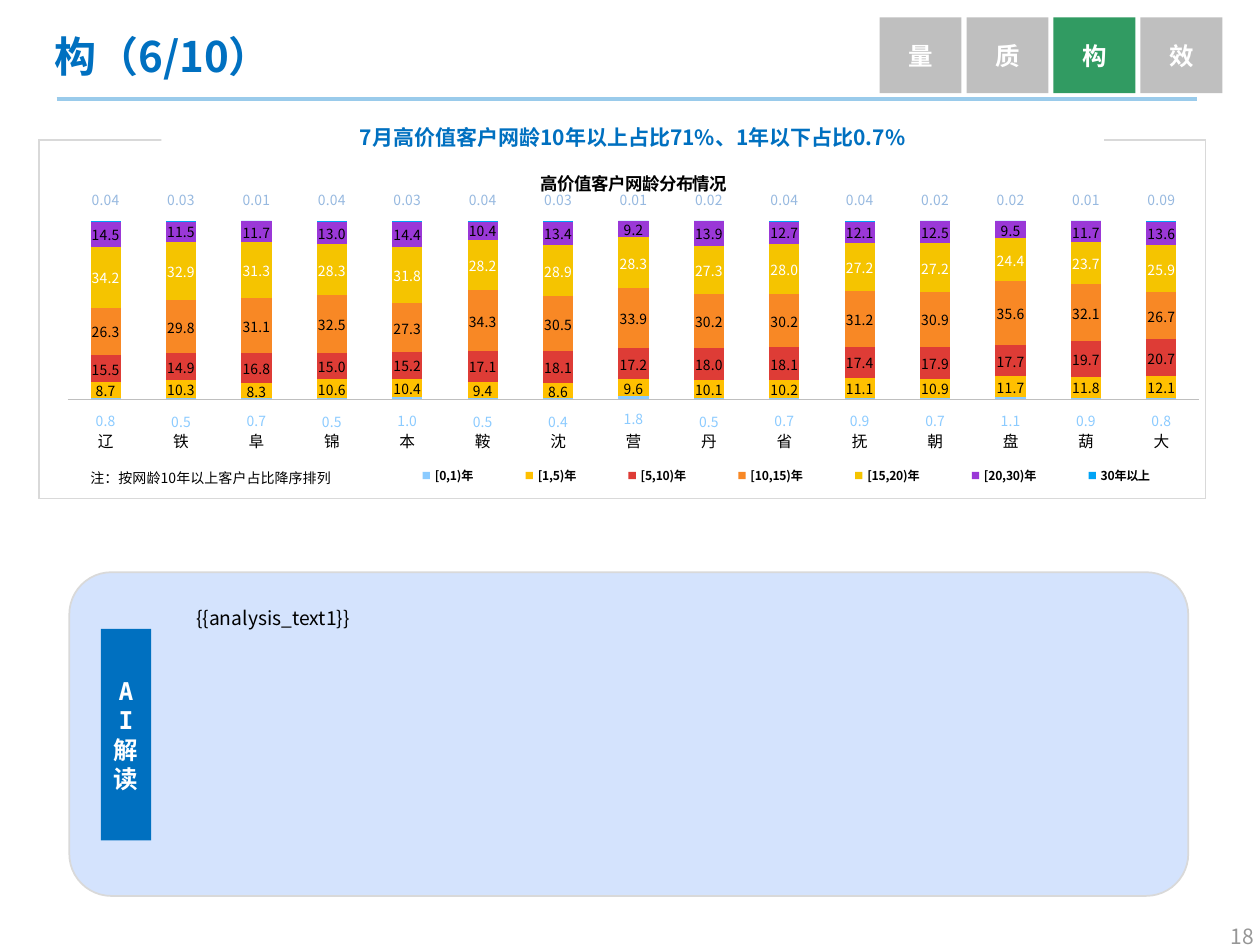
from copy import deepcopy

from lxml.etree import SubElement
from pptx import Presentation
from pptx.chart.data import CategoryChartData
from pptx.dml.color import RGBColor
from pptx.enum.chart import XL_CHART_TYPE as Kind
from pptx.enum.chart import XL_LABEL_POSITION as Spot
from pptx.enum.chart import XL_LEGEND_POSITION as Side
from pptx.enum.chart import XL_TICK_LABEL_POSITION as Ticks
from pptx.enum.chart import XL_TICK_MARK as Mark
from pptx.enum.shapes import MSO_CONNECTOR as Link
from pptx.enum.shapes import MSO_SHAPE as Form
from pptx.enum.text import MSO_ANCHOR as Anchor
from pptx.enum.text import MSO_AUTO_SIZE as Fit
from pptx.enum.text import PP_ALIGN as Align
from pptx.oxml import parse_xml
from pptx.oxml.ns import nsdecls, qn
from pptx.util import Pt

WHITE = RGBColor(0xFF, 0xFF, 0xFF)
BLACK = RGBColor(0, 0, 0)
BLUE = RGBColor(0x00, 0x70, 0xC0)
SKY = RGBColor(0x9A, 0xCB, 0xEB)
ICE = RGBColor(0xD4, 0xE3, 0xFD)
GREEN = RGBColor(0x31, 0x9B, 0x62)
GREY = RGBColor(0xBF, 0xBF, 0xBF)
PALE = RGBColor(0xD9, 0xD9, 0xD9)
DIM = RGBColor(0x96, 0x96, 0x96)
AQUA = RGBColor(0x8B, 0xCB, 0xFF)
STEEL = RGBColor(0x97, 0xB9, 0xE0)
AMBER = RGBColor(0xFF, 0xC0, 0x00)
RED = RGBColor(0xDE, 0x3C, 0x36)
ORANGE = RGBColor(0xF8, 0x88, 0x25)
GOLD = RGBColor(0xF5, 0xC4, 0x00)
PURPLE = RGBColor(0x9A, 0x38, 0xD7)
AZURE = RGBColor(0x00, 0xA3, 0xF5)

SANS = "Noto Sans CJK SC"
CITIES = list("辽铁阜锦本鞍沈营丹省抚朝盘葫大")
# name, fill, label colour, label spot, label shift, values
BANDS = [
    ("[0,1)年", AQUA, AQUA, Spot.INSIDE_END, 0.02,
     [0.8, 0.5, 0.7, 0.5, 1, 0.5, 0.4, 1.8, 0.5, 0.7, 0.9, 0.7, 1.1, 0.9, 0.8]),
    ("[1,5)年", AMBER, BLACK, Spot.CENTER, 0,
     [8.7, 10.3, 8.3, 10.6, 10.4, 9.4, 8.6, 9.6, 10.1, 10.2, 11.1, 10.9, 11.7, 11.8, 12.1]),
    ("[5,10)年", RED, BLACK, Spot.CENTER, 0,
     [15.5, 14.9, 16.8, 15, 15.2, 17.1, 18.1, 17.2, 18, 18.1, 17.4, 17.9, 17.7, 19.7, 20.7]),
    ("[10,15)年", ORANGE, BLACK, Spot.CENTER, 0,
     [26.3, 29.8, 31.1, 32.5, 27.3, 34.3, 30.5, 33.9, 30.2, 30.2, 31.2, 30.9, 35.6, 32.1, 26.7]),
    ("[15,20)年", GOLD, WHITE, Spot.CENTER, 0,
     [34.2, 32.9, 31.3, 28.3, 31.8, 28.2, 28.9, 28.3, 27.3, 28, 27.2, 27.2, 24.4, 23.7, 25.9]),
    ("[20,30)年", PURPLE, BLACK, Spot.CENTER, 0,
     [14.5, 11.5, 11.7, 13, 14.4, 10.4, 13.4, 9.2, 13.9, 12.7, 12.1, 12.5, 9.5, 11.7, 13.6]),
    ("30年以上", AZURE, STEEL, Spot.INSIDE_BASE, -0.02,
     [0.04, 0.03, 0.01, 0.04, 0.03, 0.04, 0.03, 0.01, 0.02, 0.04, 0.04, 0.02, 0.02, 0.01, 0.09]),
]


def pts(*nums):
    return [Pt(n) for n in nums]


def style(font, size, color, bold=False, face=SANS):
    """Set a font, with the CJK face that latin faces lack."""
    font.size, font.bold, font.name = Pt(size), bold, face
    font.color.rgb = color
    SubElement(font._rPr, qn("a:ea")).set("typeface", SANS)


def write(shape, lines, size, color, bold=False, face=SANS, align=Align.LEFT,
          anchor=Anchor.TOP, space=None):
    frame = shape.text_frame
    frame.word_wrap, frame.vertical_anchor = True, anchor
    for i, line in enumerate(lines):
        para = frame.add_paragraph() if i else frame.paragraphs[0]
        para.alignment, para.line_spacing = align, space
        run = para.add_run()
        run.text = line
        style(run.font, size, color, bold, face)


def add_box(slide, form, at, fill, edge=None):
    box = slide.shapes.add_shape(form, *pts(*at))
    box.shadow.inherit = False
    box.fill.solid()
    box.fill.fore_color.rgb = fill
    if edge is None:
        box.line.fill.background()
    else:
        box.line.color.rgb, box.line.width = edge, Pt(1)
    return box


def add_text(slide, at, text, size, color, **opts):
    box = slide.shapes.add_textbox(*pts(*at))
    write(box, [text], size, color, **opts)
    return box


def add_rule(slide, at):
    rule = slide.shapes.add_connector(Link.STRAIGHT, *pts(*at))
    rule.line.color.rgb, rule.line.width = SKY, Pt(2.25)
    SubElement(rule._element.spPr, qn("a:effectLst"))


def add_frame(slide, at):
    """Add a one-cell table that serves as the border of the chart."""
    table = slide.shapes.add_table(1, 1, *pts(*at)).table
    cell = table.cell(0, 0)
    props = cell._tc.get_or_add_tcPr()
    for side in ("lnL", "lnR", "lnT", "lnB"):
        props.append(parse_xml(
            f'<a:{side} {nsdecls("a")} w="12700"><a:solidFill>'
            f'<a:srgbClr val="{PALE}"/></a:solidFill></a:{side}>'))
    cell.fill.background()


def layout(x, y, w=None, h=None):
    """Make a manual layout: an offset, or a place when a size is given."""
    parts = [("x", x), ("y", y)]
    if w is not None:
        parts = [("xMode", "edge"), ("yMode", "edge")] + parts + [("w", w), ("h", h)]
    body = "".join(f'<c:{tag} val="{val}"/>' for tag, val in parts)
    return parse_xml(f'<c:layout {nsdecls("c")}><c:manualLayout>{body}'
                     '</c:manualLayout></c:layout>')


def shift(labels, count, dy):
    """Move every label of a series by a share of the chart height."""
    root = labels._element
    kids = [k for k in root if k.tag != qn("c:showLeaderLines")]
    for i in range(count):
        item = parse_xml(f'<c:dLbl {nsdecls("c")}><c:idx val="{i}"/></c:dLbl>')
        item.append(layout(0, dy))
        item.extend(deepcopy(k) for k in kids)
        root.insert(i, item)


def paint(series, fill, ink, spot, dy, digits):
    series.format.fill.solid()
    series.format.fill.fore_color.rgb = fill
    labels = series.data_labels
    labels.show_value, labels.position = True, spot
    labels.number_format, labels.number_format_is_linked = digits, False
    style(labels.font, 8, ink)
    if dy:
        shift(labels, len(CITIES), dy)


def set_axes(chart):
    cat, val = chart.category_axis, chart.value_axis
    cat.tick_label_position = Ticks.LOW
    cat.major_tick_mark = Mark.NONE
    cat.format.line.color.rgb, cat.format.line.width = GREY, Pt(0.75)
    style(cat.tick_labels.font, 9, BLACK)
    val.minimum_scale, val.maximum_scale, val.major_unit = -0.1, 1, 4
    val.has_major_gridlines = False
    val.tick_label_position = Ticks.NONE
    val.format.line.fill.background()


def add_bands(slide, at):
    data = CategoryChartData()
    data.categories = CITIES
    for name, *_, vals in BANDS:
        data.add_series(name, vals)
    chart = slide.shapes.add_chart(Kind.COLUMN_STACKED_100, *pts(*at), data).chart
    style(chart.font, 8, BLACK)
    run = chart.chart_title.text_frame.paragraphs[0].add_run()
    run.text = "高价值客户网龄分布情况"
    style(run.font, 10, BLACK, True)
    chart.chart_title.include_in_layout = False
    plot = chart.plots[0]
    plot.gap_width, plot.overlap, plot.vary_by_categories = 150, 100, False
    for series, (_, fill, ink, spot, dy, _) in zip(plot.series, BANDS):
        paint(series, fill, ink, spot, dy, "0.00" if fill == AZURE else "0.0")
    set_axes(chart)
    chart.has_legend = True
    key = chart.legend
    key.position, key.include_in_layout = Side.BOTTOM, False
    style(key.font, 7, BLACK, True)
    key._element.find(qn("c:legendPos")).addnext(layout(0.27, 0.9, 0.73, 0.08))
    area = chart._chartSpace.chart.plotArea
    for old in area.findall(qn("c:layout")):
        area.remove(old)
    place = layout(0, 0.2, 1, 0.57)
    place[0].insert(0, parse_xml(f'<c:layoutTarget {nsdecls("c")} val="inner"/>'))
    area.insert(0, place)


def add_tabs(slide):
    for i, word in enumerate("量质构效"):
        tab = add_box(slide, Form.RECTANGLE, (502.6 + 49.7 * i, 10, 46.8, 43.2),
                      GREEN if word == "构" else GREY)
        write(tab, [word], 14, WHITE, True, align=Align.CENTER, anchor=Anchor.MIDDLE)


def set_title(slide):
    title = slide.shapes.title
    title.left, title.top, title.width, title.height = pts(23.8, 12.2, 682, 43.2)
    write(title, ["构（6/10）"], 24, BLUE, True, anchor=Anchor.MIDDLE, space=0.9)


def main():
    deck = Presentation()
    deck.slide_width, deck.slide_height = pts(720, 540)
    slide = deck.slides.add_slide(deck.slide_layouts[5])
    set_title(slide)
    add_text(slide, (684, 520, 39.6, 26.6), "18", 12, DIM,
             face="Noto Sans CJK JP", align=Align.RIGHT, space=1.3)
    add_rule(slide, (32.4, 56.4, 684, 56.4))
    add_frame(slide, (22.3, 80, 666.7, 205))
    strip = add_box(slide, Form.RECTANGLE, (92.2, 67.7, 538.6, 23), WHITE)
    write(strip, ["7月高价值客户网龄10年以上占比71%、1年以下占比0.7%"], 12, BLUE, True,
          align=Align.CENTER)
    add_bands(slide, (34.6, 87, 651, 196.6))
    note = add_text(slide, (44.6, 265, 153.4, 17.3),
                    "注：按网龄10年以上客户占比降序排列", 8, BLACK)
    note.text_frame.auto_size = Fit.SHAPE_TO_FIT_TEXT
    add_tabs(slide)
    panel = add_box(slide, Form.ROUNDED_RECTANGLE, (39.6, 327, 639.4, 185), ICE, PALE)
    panel.adjustments[0] = 0.13
    add_text(slide, (105, 336.2, 551, 168), "{{analysis_text1}}", 11, BLACK, space=1.5)
    badge = add_box(slide, Form.RECTANGLE, (57.6, 359.3, 28.8, 121), BLUE)
    write(badge, ["AI解", "读"], 14, WHITE, True, "DejaVu Sans Mono",
          Align.CENTER, Anchor.MIDDLE)
    deck.save("out.pptx")


if __name__ == "__main__":
    main()
